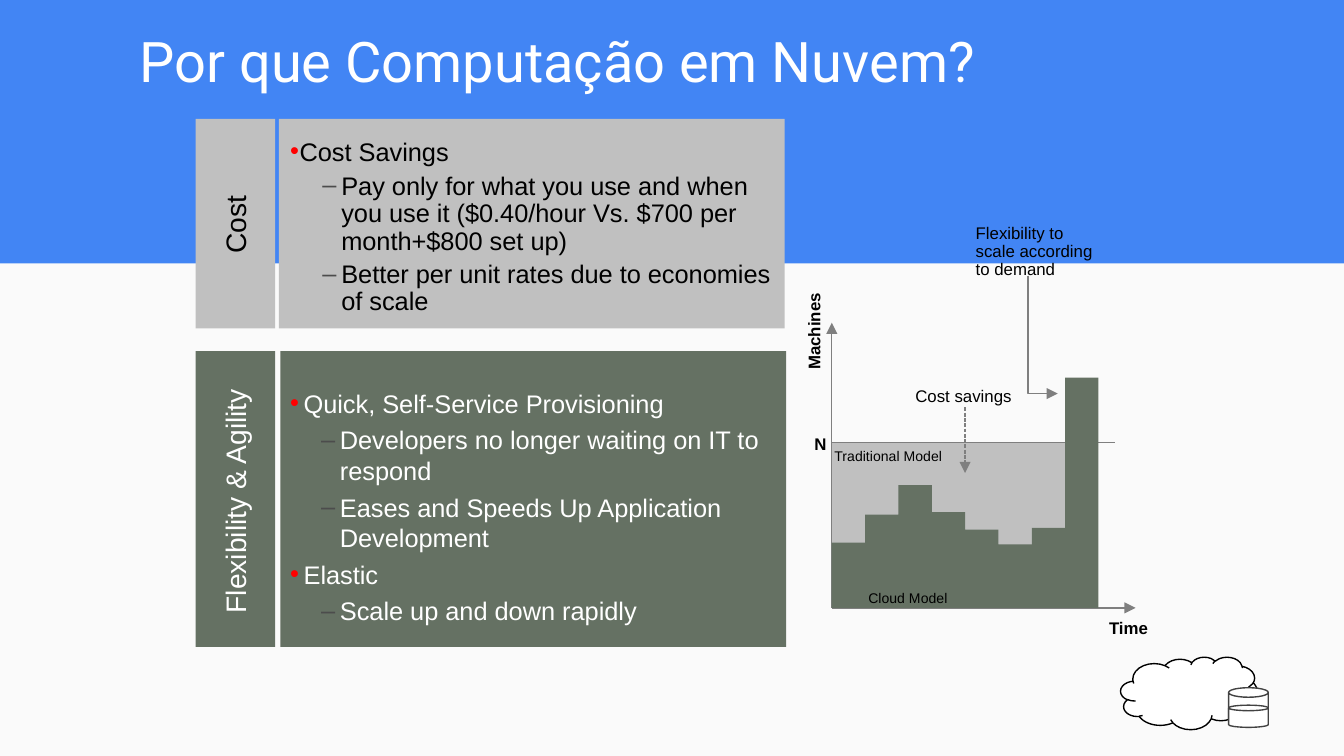
from lxml.etree import SubElement
from pptx import Presentation
from pptx.dml.color import RGBColor
from pptx.enum.dml import MSO_LINE
from pptx.enum.shapes import MSO_CONNECTOR, MSO_SHAPE
from pptx.enum.text import MSO_ANCHOR, MSO_AUTO_SIZE, PP_ALIGN
from pptx.oxml.ns import qn
from pptx.util import Cm, Pt

BLUE = RGBColor(0x42, 0x85, 0xF4)
PALE = RGBColor(0xFA, 0xFA, 0xFA)
WHITE = RGBColor(0xFF, 0xFF, 0xFF)
BLACK = RGBColor(0, 0, 0)
SILVER = RGBColor(0xC0, 0xC0, 0xC0)
GREEN = RGBColor(0x65, 0x71, 0x63)
GREY = RGBColor(0x7F, 0x7F, 0x7F)
CHARCOAL = RGBColor(0x42, 0x42, 0x42)

TITLE = "Por que Computação em Nuvem?"
BULLETS = [("•", "FF0000"), ("–", "4C4C4C")]

SECTIONS = [
    dict(label="Cost", label_length=1.14, top=2.25, height=3.96, panel_left=5.27,
         fill=SILVER, color=BLACK, body=(5.46, 2.41, 9.12, 3.56), inset=0.16,
         indents=[(0.08, -0.07), (0.39, -0.14)],
         points=[(0, "Cost Savings", 0, None),
                 (1, "Pay only for what you use and when you use it "
                     "($0.40/hour Vs. $700 per month+$800 set up)", 3.5, 14.7),
                 (1, "Better per unit rates due to economies of scale", 3.6, 14.3)]),
    dict(label="Flexibility & Agility", label_length=4.32, top=6.64, height=5.59,
         panel_left=5.3, fill=GREEN, color=WHITE, body=(5.46, 7.04, 8.92, 4.62),
         inset=0.29, indents=[(0.11, -0.1), (0.38, -0.14)],
         points=[(0, "Quick, Self-Service Provisioning", 0, None),
                 (1, "Developers no longer waiting on IT to respond", 3.3, None),
                 (1, "Eases and Speeds Up Application Development", 3.4, None),
                 (0, "Elastic", 3.3, None),
                 (1, "Scale up and down rapidly", 3.3, None)]),
]
LABEL_LEFT, LABEL_WIDTH, PANEL_WIDTH, LABEL_LINE = 3.7, 1.5, 9.56, 0.61

ORIGIN_X, BASE_Y, BAR_WIDTH = 15.72, 11.49, 0.63
CAPACITY = 3.13
DEMAND_GROUPS = [[1.23, 1.76, 2.32, 1.81, 1.48, 1.2], [1.51, 4.35]]
CHART_LABELS = [
    ("Time", (20.96, 11.63, 0.8, 0.41), 9, True),
    ("N", (15.39, 8.15, 0.28, 0.41), 9, True),
    ("Traditional Model", (15.77, 8.41, 2.1, 0.36), 7.5, False),
    ("Cloud Model", (16.41, 11.1, 1.58, 0.36), 7.5, False),
    ("Cost savings", (17.3, 7.24, 1.9, 0.41), 9, False),
]

presentation = Presentation()
presentation.slide_width, presentation.slide_height = Cm(25.4), Cm(14.29)
slide = presentation.slides.add_slide(presentation.slide_layouts[5])
shapes = slide.shapes


def lengths(box):
    return [Cm(value) for value in box]


def style(shape, fill=None, line=None, width=0.75):
    shape.shadow.inherit = False
    if fill is None:
        shape.fill.background()
    else:
        shape.fill.solid()
        shape.fill.fore_color.rgb = fill
    if line is None:
        shape.line.fill.background()
    else:
        shape.line.color.rgb = line
        shape.line.width = Pt(width)


def add_block(kind, box, fill, line=None):
    block = shapes.add_shape(kind, *lengths(box))
    style(block, fill, line)
    return block


def prepare(frame, inset=0.0):
    frame.word_wrap = True
    frame.auto_size = MSO_AUTO_SIZE.NONE
    frame.margin_left = frame.margin_right = frame.margin_bottom = 0
    frame.margin_top = Cm(inset)


def format_runs(paragraph, size, color, bold=False, face="Arial"):
    for run in paragraph.runs:
        run.font.name, run.font.size, run.font.bold = face, Pt(size), bold
        run.font.color.rgb = color


def add_text(text, box, size, color=BLACK, bold=False, inset=0.05, spacing=None, upright=False):
    frame = shapes.add_textbox(*lengths(box)).text_frame
    prepare(frame, inset)
    if upright:
        frame._txBody.bodyPr.set("vert", "vert270")
    frame.text = text
    frame.paragraphs[0].line_spacing = spacing
    format_runs(frame.paragraphs[0], size, color, bold)


def add_bullet(paragraph, level, indent):
    symbol, color = BULLETS[level]
    margin, hanging = indent
    properties = paragraph._p.get_or_add_pPr()
    properties.set("marL", str(Cm(margin * 2.54)))
    properties.set("indent", str(Cm(hanging * 2.54)))
    SubElement(SubElement(properties, qn("a:buClr")), qn("a:srgbClr")).set("val", color)
    SubElement(properties, qn("a:buFont")).set("typeface", "Arial")
    SubElement(properties, qn("a:buChar")).set("char", symbol)


def add_arrowhead(line):
    SubElement(line.line._get_or_add_ln(), qn("a:tailEnd")).set("type", "triangle")


def add_line(start, end, arrow=True, dash=None):
    line = shapes.add_connector(MSO_CONNECTOR.STRAIGHT, *lengths(start + end))
    line.line.color.rgb = GREY
    line.line.width = Pt(0.72)
    if dash:
        line.line.dash_style = dash
    if arrow:
        add_arrowhead(line)
    SubElement(line._element.spPr, qn("a:effectLst"))


def add_section(section):
    top, height = section["top"], section["height"]
    add_block(MSO_SHAPE.RECTANGLE, (section["panel_left"], top, PANEL_WIDTH, height),
              section["fill"])
    add_block(MSO_SHAPE.RECTANGLE, (LABEL_LEFT, top, LABEL_WIDTH, height), section["fill"])
    length = section["label_length"]
    label_box = (LABEL_LEFT + (LABEL_WIDTH - LABEL_LINE) / 2, top + (height - length) / 2,
                 LABEL_LINE, length)
    add_text(section["label"], label_box, 15.1, section["color"], inset=0,
             spacing=Pt(17.4), upright=True)
    frame = shapes.add_textbox(*lengths(section["body"])).text_frame
    prepare(frame, section["inset"])
    for index, (level, text, before, spacing) in enumerate(section["points"]):
        paragraph = frame.add_paragraph() if index else frame.paragraphs[0]
        paragraph.text = text
        paragraph.level = level
        add_bullet(paragraph, level, section["indents"][level])
        if before:
            paragraph.space_before = Pt(before)
        if spacing:
            paragraph.line_spacing = Pt(spacing)
        format_runs(paragraph, 13.6, section["color"])


def add_demand(first_bar, heights):
    left = ORIGIN_X + first_bar * BAR_WIDTH
    outline = shapes.build_freeform(Cm(left), Cm(BASE_Y))
    steps = []
    for index, height in enumerate(heights):
        x, y = left + index * BAR_WIDTH, BASE_Y - height
        steps += [(Cm(x), Cm(y)), (Cm(x + BAR_WIDTH), Cm(y))]
    steps.append((steps[-1][0], Cm(BASE_Y)))
    outline.add_line_segments(steps, close=True)
    style(outline.convert_to_shape(), GREEN)


slide.background.fill.solid()
slide.background.fill.fore_color.rgb = BLUE
add_block(MSO_SHAPE.RECTANGLE, (0, 4.98, 25.4, 9.31), PALE)
add_block(MSO_SHAPE.CLOUD, (21.18, 12.42, 2.59, 1.37), WHITE, BLACK)
for top, height in [(13, 0.72), (13.33, 0.42)]:
    add_block(MSO_SHAPE.CAN, (23.22, top, 0.75, height), WHITE, CHARCOAL)

title = shapes.title
title.left, title.top, title.width, title.height = lengths((2.64, 0.48, 21.39, 1.32))
prepare(title.text_frame)
title.text_frame.vertical_anchor = MSO_ANCHOR.MIDDLE
title.text_frame.text = TITLE
title.text_frame.paragraphs[0].alignment = PP_ALIGN.LEFT
format_runs(title.text_frame.paragraphs[0], 30, WHITE, face="Roboto")

for section in SECTIONS:
    add_section(section)

capacity_y = BASE_Y - CAPACITY
add_block(MSO_SHAPE.RECTANGLE, (ORIGIN_X, capacity_y, 7 * BAR_WIDTH, CAPACITY), SILVER)
add_line((ORIGIN_X, BASE_Y), (ORIGIN_X, 6.1))
add_line((ORIGIN_X, BASE_Y), (21.46, BASE_Y))
add_line((ORIGIN_X, capacity_y), (21.08, capacity_y), arrow=False)
first_bar = 0
for heights in DEMAND_GROUPS:
    add_demand(first_bar, heights)
    first_bar += len(heights)

add_line((18.24, 7.7), (18.24, 8.94), dash=MSO_LINE.SQUARE_DOT)
scaling_outline = shapes.build_freeform(Cm(19.43), Cm(5.21))
scaling_outline.add_line_segments([(Cm(19.43), Cm(7.44)), (Cm(19.99), Cm(7.44))], close=False)
scaling_arrow = scaling_outline.convert_to_shape()
style(scaling_arrow, line=GREY, width=0.72)
add_arrowhead(scaling_arrow)

add_text("Flexibility to scale according to demand", (18.44, 4.11, 2.26, 1.12), 9,
         inset=0.14, spacing=0.9)
add_text("Machines", (15.19, 5.49, 0.36, 1.5), 9, bold=True, inset=0,
         spacing=Pt(10.7), upright=True)
for text, box, size, bold in CHART_LABELS:
    add_text(text, box, size, bold=bold)

presentation.save("out.pptx")
